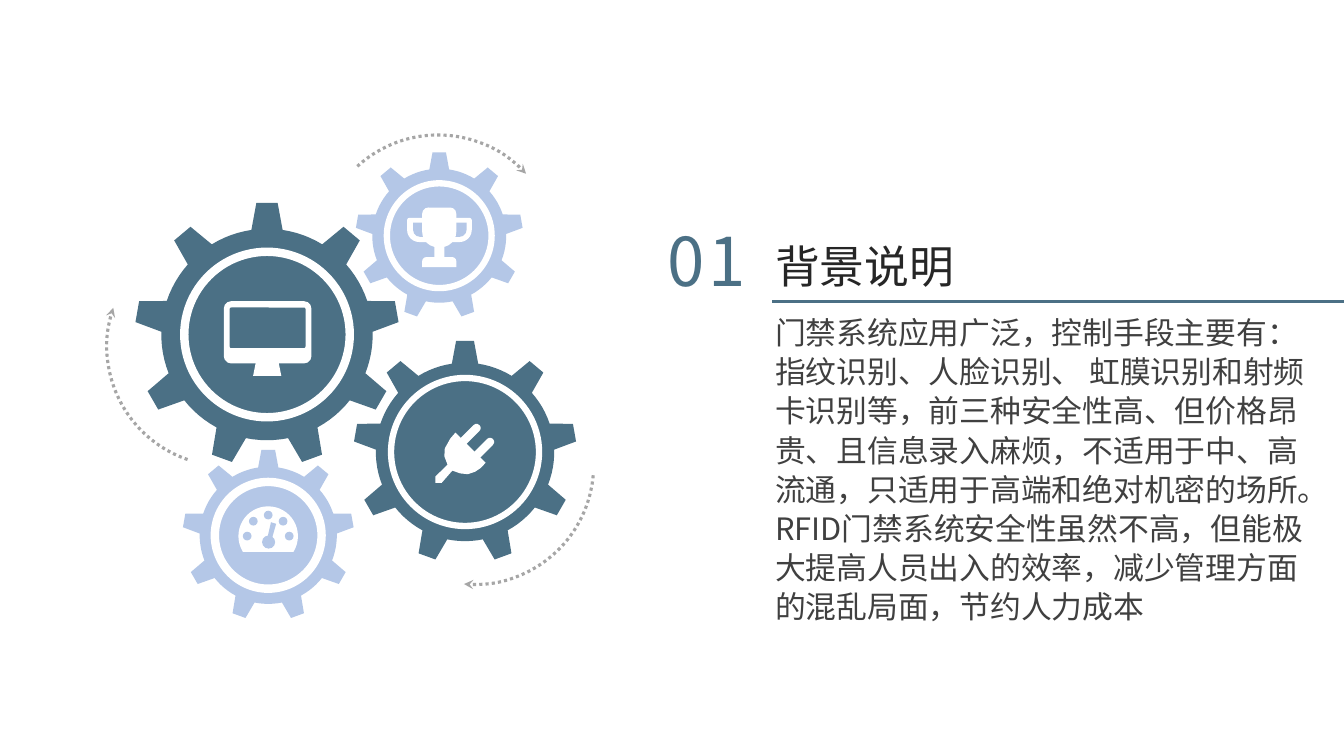
from math import cos, radians, sin

from lxml.etree import SubElement
from pptx import Presentation
from pptx.dml.color import RGBColor
from pptx.enum.dml import MSO_LINE_DASH_STYLE as Dash
from pptx.enum.shapes import MSO_CONNECTOR as Connector, MSO_SHAPE as Preset
from pptx.enum.text import MSO_ANCHOR as Anchor, MSO_AUTO_SIZE as AutoSize, PP_ALIGN as Align
from pptx.oxml.ns import qn
from pptx.util import Cm, Pt

COLORS = {
    "steel": "4B7085",
    "sky": "B4C7E7",
    "white": "FFFFFF",
    "arrow": "A6A6A6",
    "heading": "262626",
    "body": "404040",
}
FONT = "Noto Sans CJK SC"
TEETH = 9
BODY = (
    "门禁系统应用广泛，控制手段主要有：指纹识别、人脸识别、 虹膜识别和射频卡识别等，"
    "前三种安全性高、但价格昂贵、且信息录入麻烦，不适用于中、高流通，只适用于高端和绝对机密的场所。"
    "RFID门禁系统安全性虽然不高，但能极大提高人员出入的效率，减少管理方面的混乱局面，节约人力成本"
)


def color(name):
    return RGBColor.from_string(COLORS[name])


def paint(shape, fill):
    shape.shadow.inherit = False
    shape.fill.solid()
    shape.fill.fore_color.rgb = color(fill)
    shape.line.fill.background()
    return shape


def add_preset(slide, preset, box, fill, adjustments=(), rotation=0):
    shape = paint(slide.shapes.add_shape(preset, *map(Cm, box)), fill)
    for index, value in enumerate(adjustments):
        shape.adjustments[index] = value
    shape.rotation = rotation
    return shape


def add_circle(slide, center, diameter, fill):
    x, y = center
    box = (x - diameter / 2, y - diameter / 2, diameter, diameter)
    return add_preset(slide, Preset.OVAL, box, fill)


def add_outline(slide, points, fill):
    start, *rest = [(Cm(x), Cm(y)) for x, y in points]
    builder = slide.shapes.build_freeform(*start)
    builder.add_line_segments(rest, close=True)
    return paint(builder.convert_to_shape(), fill)


def add_gear(slide, center, radius, disc, ring_width, fill):
    """Toothed wheel with a ringed disc; tooth sizes are shares of the radius."""
    root, root_half, tip_half = 0.8, 8.5, 4.6
    step = 360 / TEETH
    valley = step - 2 * root_half
    polar = []
    for tooth in range(TEETH):
        angle = tooth * step - 90
        polar += [(root, angle - root_half), (1, angle - tip_half), (1, angle + tip_half)]
        polar += [(root, angle + root_half + valley * part / 6) for part in range(6)]
    points = [
        (center[0] + radius * r * cos(radians(a)), center[1] + radius * r * sin(radians(a)))
        for r, a in polar
    ]
    add_outline(slide, points, fill)
    ring = add_circle(slide, center, disc, fill)
    ring.line.color.rgb = color("white")
    ring.line.width = Pt(ring_width)


def add_turn_arrow(slide, left, top, rotation):
    arc = slide.shapes.add_shape(Preset.ARC, Cm(left), Cm(top), Cm(6.02), Cm(6.02))
    arc.shadow.inherit = False
    arc.fill.background()
    arc.rotation = rotation
    arc.line.color.rgb = color("arrow")
    arc.line.width = Pt(2.25)
    arc.line.dash_style = Dash.ROUND_DOT
    SubElement(arc.line._get_or_add_ln(), qn("a:tailEnd"), type="stealth")


def add_monitor(slide):
    add_preset(slide, Preset.ROUNDED_RECTANGLE, (5.64, 7.59, 2.21, 1.57), "white", [0.12])
    add_preset(slide, Preset.ROUNDED_RECTANGLE, (5.79, 7.75, 1.91, 1.02), "steel", [0.04])
    add_preset(slide, Preset.TRAPEZOID, (6.38, 9.14, 0.71, 0.33), "white", [0.2])


def add_trophy(slide):
    rounded = Preset.ROUND_2_SAME_RECTANGLE
    add_preset(slide, rounded, (10.26, 5.49, 1.63, 0.61), "white", [0.1, 0.5])
    add_preset(slide, rounded, (10.41, 5.61, 1.35, 0.36), "sky", [0, 0.5])
    add_preset(slide, rounded, (10.64, 5.23, 0.86, 1), "white", [0.18, 0.45])
    add_preset(slide, Preset.RECTANGLE, (10.95, 6.1, 0.25, 0.5), "white")
    add_preset(slide, rounded, (10.64, 6.48, 0.86, 0.25), "white", [0.4, 0])


def add_gauge(slide):
    x, y, radius, dot_orbit = 6.76, 13.51, 0.75, 0.53
    # Chord angles: 0.6 per degree
    add_preset(slide, Preset.CHORD, (x - radius, y - radius, 2 * radius, 2 * radius),
               "white", [148 * 0.6, 32 * 0.6])
    for angle in range(180, 361, 45):
        dot = (x + dot_orbit * cos(radians(angle)), y + dot_orbit * sin(radians(angle)))
        add_circle(slide, dot, 0.22, "sky")
    add_outline(slide, [(6.83, 13.16), (6.96, 13.2), (6.86, 13.55), (6.74, 13.55)], "sky")
    add_circle(slide, (6.77, 13.66), 0.33, "sky")


def add_plug(slide):
    add_outline(slide, [
        (11.48, 10.9), (12.24, 11.66), (12.12, 11.79), (11.97, 11.89), (11.79, 11.95),
        (11.6, 11.93), (11.4, 11.86), (11.13, 12.17), (10.97, 12.17), (10.97, 12.01),
        (11.28, 11.71), (11.2, 11.5), (11.21, 11.3), (11.35, 11.05),
    ], "white")
    for x, y in [(11.85, 10.94), (12.19, 11.29)]:
        add_preset(slide, Preset.ROUNDED_RECTANGLE, (x - 0.33, y - 0.1, 0.66, 0.21),
                   "white", [0.5], -45)


def set_text(holder, box, text, size, fill):
    """Place a text holder and give it one left-aligned, unbulleted paragraph."""
    holder.left, holder.top, holder.width, holder.height = map(Cm, box)
    frame = holder.text_frame
    frame.text = text
    frame.word_wrap = True
    frame.auto_size = AutoSize.NONE
    frame.vertical_anchor = Anchor.TOP
    paragraph = frame.paragraphs[0]
    paragraph.alignment = Align.LEFT
    paragraph.space_before = Pt(0)
    properties = paragraph._p.get_or_add_pPr()
    properties.set("marL", "0")
    properties.set("indent", "0")
    SubElement(properties, qn("a:buNone"))
    font = paragraph.runs[0].font
    font.name, font.size, font.color.rgb = FONT, Pt(size), color(fill)
    SubElement(font._element, qn("a:ea"), typeface=FONT)
    return paragraph


def add_rule(slide):
    rule = slide.shapes.add_connector(Connector.STRAIGHT, Cm(19.46), Cm(7.59), Cm(33.87), Cm(7.59))
    rule.line.color.rgb = color("steel")
    rule.line.width = Pt(2)
    SubElement(rule._element.spPr, qn("a:effectLst"))


def main():
    deck = Presentation()
    deck.slide_width, deck.slide_height = Cm(33.87), Cm(19.05)
    slide = deck.slides.add_slide(deck.slide_layouts[1])

    for left, top, rotation in [(2.69, 5.72, 198.9), (8.03, 3.4, 317.5), (8.94, 8.71, 94.9)]:
        add_turn_arrow(slide, left, top, rotation)
    add_gear(slide, (6.73, 8.43), 3.33, 4.17, 6, "steel")
    add_gear(slide, (11.72, 11.39), 2.81, 3.73, 4.5, "steel")
    add_gear(slide, (6.76, 13.49), 2.16, 2.69, 6, "sky")
    add_gear(slide, (11.07, 5.94), 2.11, 2.64, 4.5, "sky")
    add_monitor(slide)
    add_trophy(slide)
    add_gauge(slide)
    add_plug(slide)

    number_box = slide.shapes.add_textbox(0, 0, 0, 0)
    number = set_text(number_box, (16.56, 5.41, 3.66, 2.31), "01", 48, "steel")
    number.runs[0].font._element.set("spc", "300")
    set_text(slide.shapes.title, (19.28, 5.89, 9.93, 1.63), "背景说明", 32, "heading")
    body = set_text(slide.placeholders[1], (19.28, 7.72, 14.4, 8.23), BODY, 22, "body")
    body.line_spacing = Pt(28)
    add_rule(slide)

    deck.save("out.pptx")


if __name__ == "__main__":
    main()
